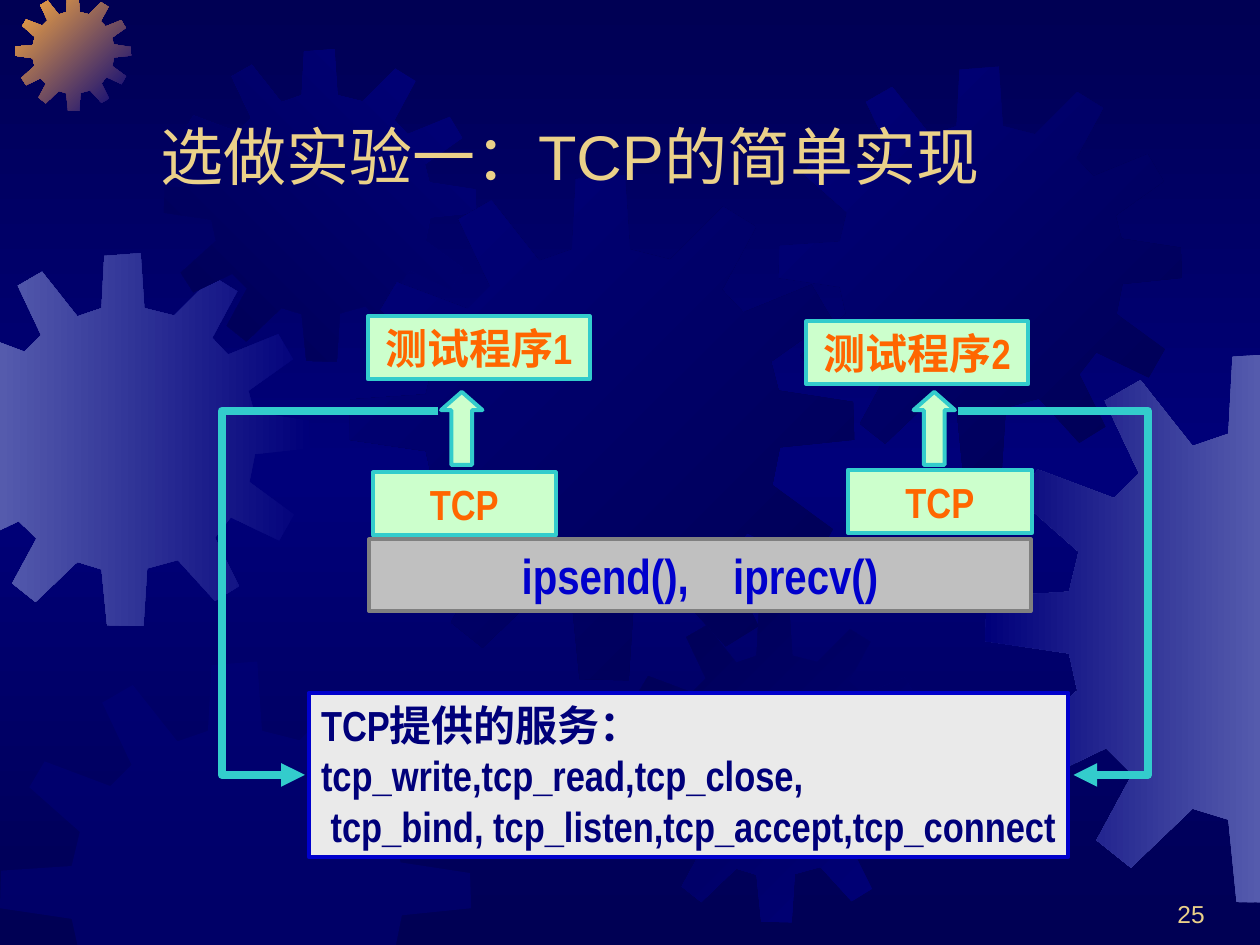
from copy import deepcopy

from lxml.etree import SubElement
from pptx import Presentation
from pptx.dml.color import RGBColor
from pptx.enum.shapes import MSO_CONNECTOR, MSO_SHAPE
from pptx.enum.text import MSO_ANCHOR, MSO_AUTO_SIZE, PP_ALIGN
from pptx.oxml.ns import qn
from pptx.util import Inches, Pt

WIDTH, HEIGHT = 10, 7.5
COLOURS = {
    "night": "000054", "navy": "00007A", "haze": "555BAD", "amber": "FCAB40",
    "sand": "EBD189", "mint": "CCFFCC", "teal": "33CCCC", "orange": "FF6600",
    "silver": "C0C0C0", "grey": "808080", "blue": "0000CC", "pale": "EAEAEA",
}
GEAR_SPAN = 401
GEAR_OUTLINE = [
    (255, 67), (223, 59), (219, 0), (180, 3), (177, 59), (151, 68),
    (113, 20), (87, 35), (112, 88), (94, 106), (38, 85), (25, 107),
    (68, 145), (61, 174), (1, 178), (0, 210), (61, 219), (67, 246),
    (22, 287), (38, 312), (88, 288), (107, 307), (81, 355), (106, 375),
    (151, 332), (177, 340), (183, 400), (222, 401), (226, 339), (259, 330),
    (299, 374), (325, 358), (299, 306), (316, 284), (368, 309), (384, 281),
    (336, 246), (342, 216), (401, 210), (400, 180), (341, 171), (335, 148),
    (383, 114), (367, 87), (313, 109), (296, 91), (323, 41), (297, 25),
]
GEARS = [
    (-0.5, 2.01, 2.96, ("navy", "haze"), 180),
    (0.12, -0.04, 0.92, ("navy", "amber"), 225),
    (1.3, 0.39, 2.48, ("navy", "night"), 135),
    (2.77, 1.39, 4.01, ("night", "navy"), 225),
    (0, 5.25, 3.74, ("navy",), None),
    (4.91, 4.84, 2.48, ("navy", "night"), 225),
    (6.18, 0.53, 3.2, ("night", "navy"), 225),
    (7.82, 2.8, 4.37, ("haze", "navy"), 180),
]


def colour(name):
    return RGBColor.from_string(COLOURS[name])


def clip(points, axis, limit, sign):
    kept = []
    for start, end in zip(points, points[1:] + points[:1]):
        start_inside = sign * (start[axis] - limit) >= 0
        end_inside = sign * (end[axis] - limit) >= 0
        if start_inside:
            kept.append(start)
        if start_inside != end_inside:
            share = (limit - start[axis]) / (end[axis] - start[axis])
            kept.append(tuple(a + share * (b - a) for a, b in zip(start, end)))
    return kept


def paint_background(page):
    fill = page.background.fill
    fill.gradient()
    stop_list = page.element.find(".//" + qn("a:gsLst"))
    stop_list.insert(1, deepcopy(stop_list[0]))
    fill.gradient_angle = 270
    stops = zip(fill.gradient_stops, ("night", "navy", "night"), (0, 0.5, 1))
    for stop, name, position in stops:
        stop.color.rgb = colour(name)
        stop.position = position


def add_gear(page, left, top, size, names, angle):
    scale = size / GEAR_SPAN
    points = [(left + x * scale, top + y * scale) for x, y in GEAR_OUTLINE]
    for axis, limit, sign in ((0, 0, 1), (0, WIDTH, -1), (1, 0, 1), (1, HEIGHT, -1)):
        points = clip(points, axis, limit, sign)
    corners = [(Inches(x), Inches(y)) for x, y in points]
    builder = page.shapes.build_freeform(*corners[0])
    builder.add_line_segments(corners[1:], close=True)
    gear = builder.convert_to_shape()
    gear.shadow.inherit = False
    gear.line.fill.background()
    if angle is None:
        gear.fill.solid()
        gear.fill.fore_color.rgb = colour(names[0])
        tone = gear.element.spPr.find(".//" + qn("a:srgbClr"))
        SubElement(tone, qn("a:alpha")).set("val", "50000")
        return
    gear.fill.gradient()
    gear.fill.gradient_angle = 360 - angle
    for stop, name in zip(gear.fill.gradient_stops, names):
        stop.color.rgb = colour(name)


def add_span(para, text, size, name, font="Arial Narrow", bold=True):
    span = para.add_run()
    span.text = text
    span.font.size = Pt(size)
    span.font.name = font
    span.font.bold = bold
    span.font.color.rgb = colour(name)
    return span


def prepare_text(box, anchor, align, wrap=True):
    frame = box.text_frame
    frame.auto_size = MSO_AUTO_SIZE.NONE
    frame.word_wrap = wrap
    frame.vertical_anchor = anchor
    para = frame.paragraphs[0]
    para.alignment = align
    return para


def add_title(page, text):
    title = page.shapes.title
    title.left, title.top = Inches(1.17), Inches(0.33)
    title.width, title.height = Inches(8.5), Inches(1.25)
    para = prepare_text(title, MSO_ANCHOR.BOTTOM, PP_ALIGN.LEFT)
    add_span(para, text, 36, "sand", "Arial", False)


def add_block(page, kind, place, fill="mint", line="teal"):
    block = page.shapes.add_shape(kind, *map(Inches, place))
    block.shadow.inherit = False
    block.fill.solid()
    block.fill.fore_color.rgb = colour(fill)
    block.line.color.rgb = colour(line)
    block.line.width = Pt(2.25)
    return block


def add_label(page, text, place):
    block = add_block(page, MSO_SHAPE.RECTANGLE, place)
    para = prepare_text(block, MSO_ANCHOR.MIDDLE, PP_ALIGN.CENTER, False)
    add_span(para, text, 24, "orange")


def add_up_arrow(page, left):
    arrow = add_block(page, MSO_SHAPE.UP_ARROW, (left, 3.11, 0.33, 0.58))
    arrow.adjustments[1] = 0.44


def add_call_bar(page, calls):
    bar = add_block(page, MSO_SHAPE.RECTANGLE, (2.93, 4.28, 5.25, 0.57), "silver", "grey")
    para = prepare_text(bar, MSO_ANCHOR.MIDDLE, PP_ALIGN.CENTER)
    add_span(para, calls[0], 28, "blue")
    gap = add_span(para, " ", 28, "blue")
    gap.font._element.set("spc", "1900")
    add_span(para, calls[1], 28, "blue")


def add_service_box(page, lines):
    box = add_block(page, MSO_SHAPE.RECTANGLE, (2.45, 5.5, 6.03, 1.3), "pale", "blue")
    para = prepare_text(box, MSO_ANCHOR.MIDDLE, PP_ALIGN.LEFT, False)
    for index, line in enumerate(lines):
        if index:
            para.add_line_break()
        add_span(para, line, 24, "navy")


def add_elbow(page, start_x, turn_x, end_x):
    elbow = page.shapes.add_connector(
        MSO_CONNECTOR.ELBOW, Inches(start_x), Inches(3.26), Inches(end_x), Inches(6.15))
    elbow.line.color.rgb = colour("teal")
    elbow.line.width = Pt(4.5)
    properties = elbow.element.spPr
    guides = properties.find(qn("a:prstGeom")).get_or_add_avLst()
    guide = SubElement(guides, qn("a:gd"))
    guide.set("name", "adj1")
    guide.set("fmla", f"val {round((turn_x - start_x) / (end_x - start_x) * 100000)}")
    SubElement(properties.find(qn("a:ln")), qn("a:tailEnd")).set("type", "triangle")
    SubElement(properties, qn("a:effectLst"))


def add_page_number(page, number):
    box = page.shapes.add_textbox(Inches(7.58), Inches(6.92), Inches(2.08), Inches(0.5))
    para = prepare_text(box, MSO_ANCHOR.BOTTOM, PP_ALIGN.RIGHT)
    add_span(para, number, 14, "sand", "Arial", False)


def main():
    deck = Presentation()
    deck.slide_width, deck.slide_height = Inches(WIDTH), Inches(HEIGHT)
    page = deck.slides.add_slide(deck.slide_layouts[5])
    paint_background(page)
    for gear in GEARS:
        add_gear(page, *gear)
    title = page.shapes.title.element
    title.getparent().append(title)
    add_title(page, "选做实验一：TCP的简单实现")
    add_label(page, "测试程序1", (2.92, 2.51, 1.76, 0.5))
    add_label(page, "测试程序2", (6.4, 2.55, 1.76, 0.5))
    for left in (3.5, 7.25):
        add_up_arrow(page, left)
    add_label(page, "TCP", (2.96, 3.75, 1.45, 0.5))
    add_label(page, "TCP", (6.73, 3.73, 1.46, 0.5))
    add_call_bar(page, ("ipsend(),", "iprecv()"))
    add_service_box(page, (
        "TCP提供的服务：",
        "tcp_write,tcp_read,tcp_close,",
        " tcp_bind, tcp_listen,tcp_accept,tcp_connect",
    ))
    add_elbow(page, 3.48, 1.76, 2.42)
    add_elbow(page, 7.6, 9.11, 8.52)
    add_page_number(page, "25")
    deck.save("out.pptx")


if __name__ == "__main__":
    main()
